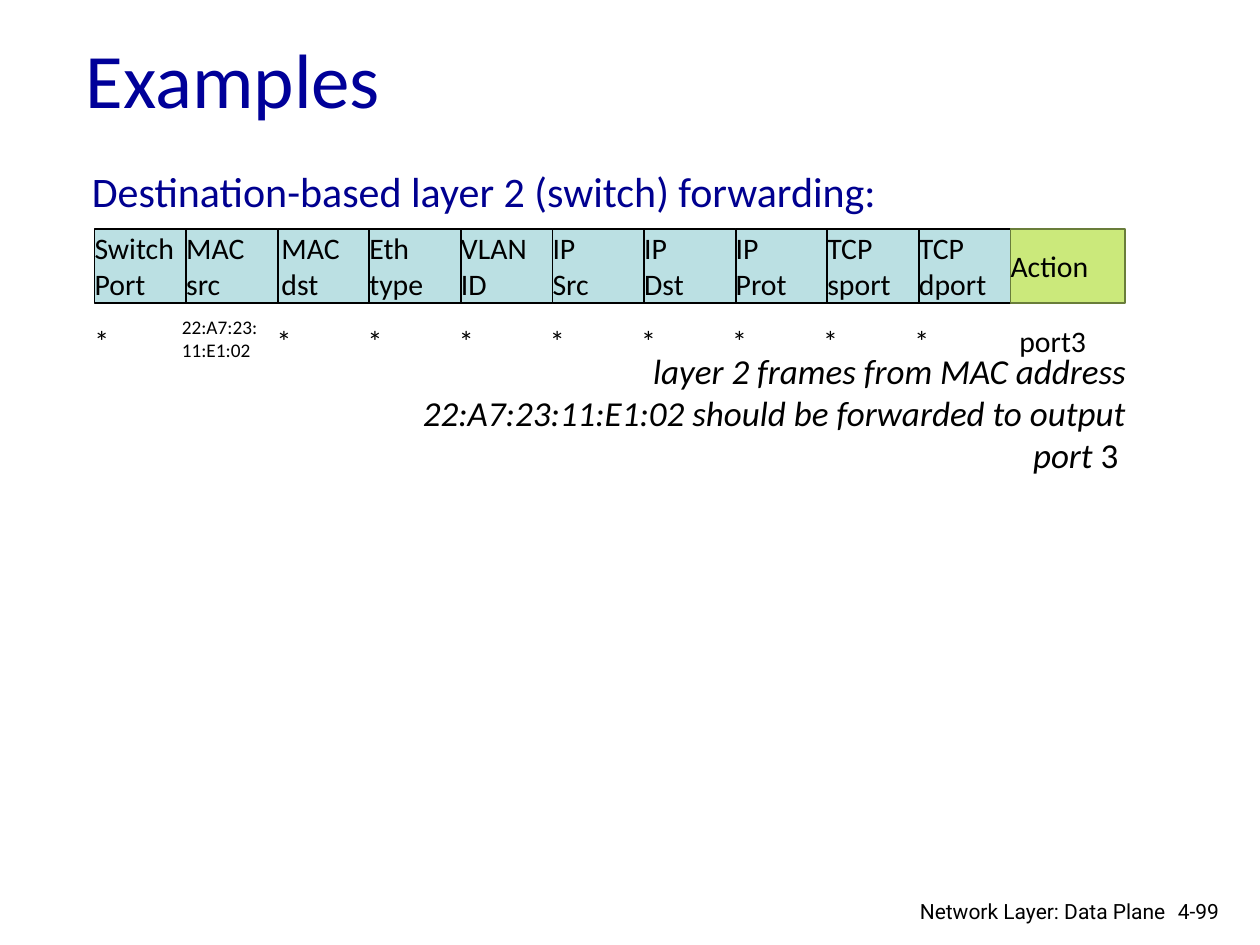
from dataclasses import dataclass

from pptx import Presentation
from pptx.dml.color import RGBColor
from pptx.enum.shapes import MSO_SHAPE
from pptx.enum.text import MSO_ANCHOR, MSO_AUTO_SIZE, PP_ALIGN
from pptx.util import Inches, Pt

RECTANGLE = MSO_SHAPE.RECTANGLE
TOP, MIDDLE = MSO_ANCHOR.TOP, MSO_ANCHOR.MIDDLE
LEFT, RIGHT = PP_ALIGN.LEFT, PP_ALIGN.RIGHT
FIXED, GROW = MSO_AUTO_SIZE.NONE, MSO_AUTO_SIZE.SHAPE_TO_FIT_TEXT

SLIDE_WIDTH, SLIDE_HEIGHT = Inches(10), Inches(7.5)
GRID_UNIT = SLIDE_WIDTH / 100  # the slide is 100 columns by 75 rows


@dataclass(frozen=True)
class TextStyle:
    size: float
    color: str = "000000"
    font: str = "Calibri"
    italic: bool = False


@dataclass(frozen=True)
class Theme:
    title: TextStyle = TextStyle(44, "000099")
    heading: TextStyle = TextStyle(24, "000090")
    cell: TextStyle = TextStyle(17)
    address: TextStyle = TextStyle(11)
    remark: TextStyle = TextStyle(20, italic=True)
    footer: TextStyle = TextStyle(12, font="Roboto")
    match_fill: str = "BBE0E3"
    match_line: str = "000000"
    action_fill: str = "CBE97B"
    action_line: str = "697D3A"


@dataclass(frozen=True)
class Box:
    """Place on the slide in grid columns and rows."""
    column: float
    row: float
    columns: float
    rows: float

    def emu(self) -> list[int]:
        return [round(n * GRID_UNIT)
                for n in (self.column, self.row, self.columns, self.rows)]


@dataclass(frozen=True)
class Field:
    header: str
    value: str = "*"
    indent: float = 0


THEME = Theme()
FIELDS = [
    Field("Switch\nPort"),
    Field("MAC\nsrc", "22:A7:23:\n11:E1:02"),
    Field("MAC\ndst", indent=0.3),
    Field("Eth\ntype"),
    Field("VLAN\nID"),
    Field("IP\nSrc"),
    Field("IP\nDst"),
    Field("IP\nProt"),
    Field("TCP\nsport"),
    Field("TCP\ndport"),
]
TABLE_LEFT, ACTION_LEFT = 7.5, 80.2
FIELD_WIDTH = (ACTION_LEFT - TABLE_LEFT) / len(FIELDS)
VALUE_PITCH = 7.23
HEADER_ROW, HEADER_ROWS = 18.15, 5.9
VALUE_ROW, VALUE_ROWS = 25.3, 3.5


def apply_style(paragraph, style: TextStyle, align=LEFT) -> None:
    paragraph.alignment = align
    font = paragraph.font
    font.name, font.size, font.italic = style.font, Pt(style.size), style.italic
    font.color.rgb = RGBColor.from_string(style.color)


def write(shape, text: str, style: TextStyle, align=LEFT, anchor=MIDDLE,
          inset: bool = False, wrap: bool = True, fit=FIXED) -> None:
    frame = shape.text_frame
    frame.text = text
    frame.word_wrap, frame.vertical_anchor, frame.auto_size = wrap, anchor, fit
    if not inset:
        frame.margin_left = frame.margin_right = 0
        frame.margin_top = frame.margin_bottom = 0
    for paragraph in frame.paragraphs:
        apply_style(paragraph, style, align)


def add_text(slide, box: Box, text: str, style: TextStyle, **layout):
    textbox = slide.shapes.add_textbox(*box.emu())
    write(textbox, text, style, **layout)
    return textbox


def add_header_cell(slide, box: Box, text: str, fill: str, line: str,
                    indent: float = 0) -> None:
    cell = slide.shapes.add_shape(RECTANGLE, *box.emu())
    cell.shadow.inherit = False
    cell.fill.solid()
    cell.fill.fore_color.rgb = RGBColor.from_string(fill)
    cell.line.color.rgb = RGBColor.from_string(line)
    cell.line.width = Pt(1)
    write(cell, text, THEME.cell)
    cell.text_frame.margin_left = round(indent * GRID_UNIT)


def add_flow_table(slide) -> None:
    for index, field in enumerate(FIELDS):
        header_left = TABLE_LEFT + index * FIELD_WIDTH
        add_header_cell(slide, Box(header_left, HEADER_ROW, FIELD_WIDTH, HEADER_ROWS),
                        field.header, THEME.match_fill, THEME.match_line, field.indent)
        value_left = TABLE_LEFT + index * VALUE_PITCH
        if field.value == "*":
            add_text(slide, Box(value_left, VALUE_ROW, VALUE_PITCH, VALUE_ROWS),
                     field.value, THEME.cell)
        else:
            add_text(slide, Box(value_left - 0.3, VALUE_ROW - 0.2, VALUE_PITCH, VALUE_ROWS),
                     field.value, THEME.address)
    add_header_cell(slide, Box(ACTION_LEFT, HEADER_ROW, 9.1, HEADER_ROWS),
                    "Action", THEME.action_fill, THEME.action_line)
    add_text(slide, Box(80.9, VALUE_ROW, VALUE_PITCH, VALUE_ROWS), "port3", THEME.cell)


def main() -> None:
    deck = Presentation()
    deck.slide_width, deck.slide_height = SLIDE_WIDTH, SLIDE_HEIGHT
    slide = deck.slides.add_slide(deck.slide_layouts.get_by_name("Title Only"))

    title = slide.shapes.title
    title.left, title.top, title.width, title.height = Box(5.8, -0.1, 30.7, 12.5).emu()
    write(title, "Examples", THEME.title, inset=True)

    add_text(slide, Box(7.3, 13.1, 62.4, 4), "Destination-based layer 2 (switch) forwarding:",
             THEME.heading, wrap=False, fit=GROW)
    add_flow_table(slide)

    remark = add_text(
        slide, Box(30.8, 29.4, 58.6, 6.7),
        "layer 2 frames from MAC address 22:A7:23:11:E1:02 should be forwarded to output port ",
        THEME.remark, align=RIGHT, fit=GROW)
    port_number = remark.text_frame.paragraphs[0].add_run()
    port_number.text = "3 "
    port_number.font.italic = False

    add_text(slide, Box(69.7, 70.8, 23.8, 2.6), "Network Layer: Data Plane",
             THEME.footer, align=RIGHT, anchor=TOP, inset=True)
    add_text(slide, Box(92.5, 70.8, 6.1, 3), "4-99", THEME.footer, anchor=TOP, inset=True)

    deck.save("out.pptx")


if __name__ == "__main__":
    main()
